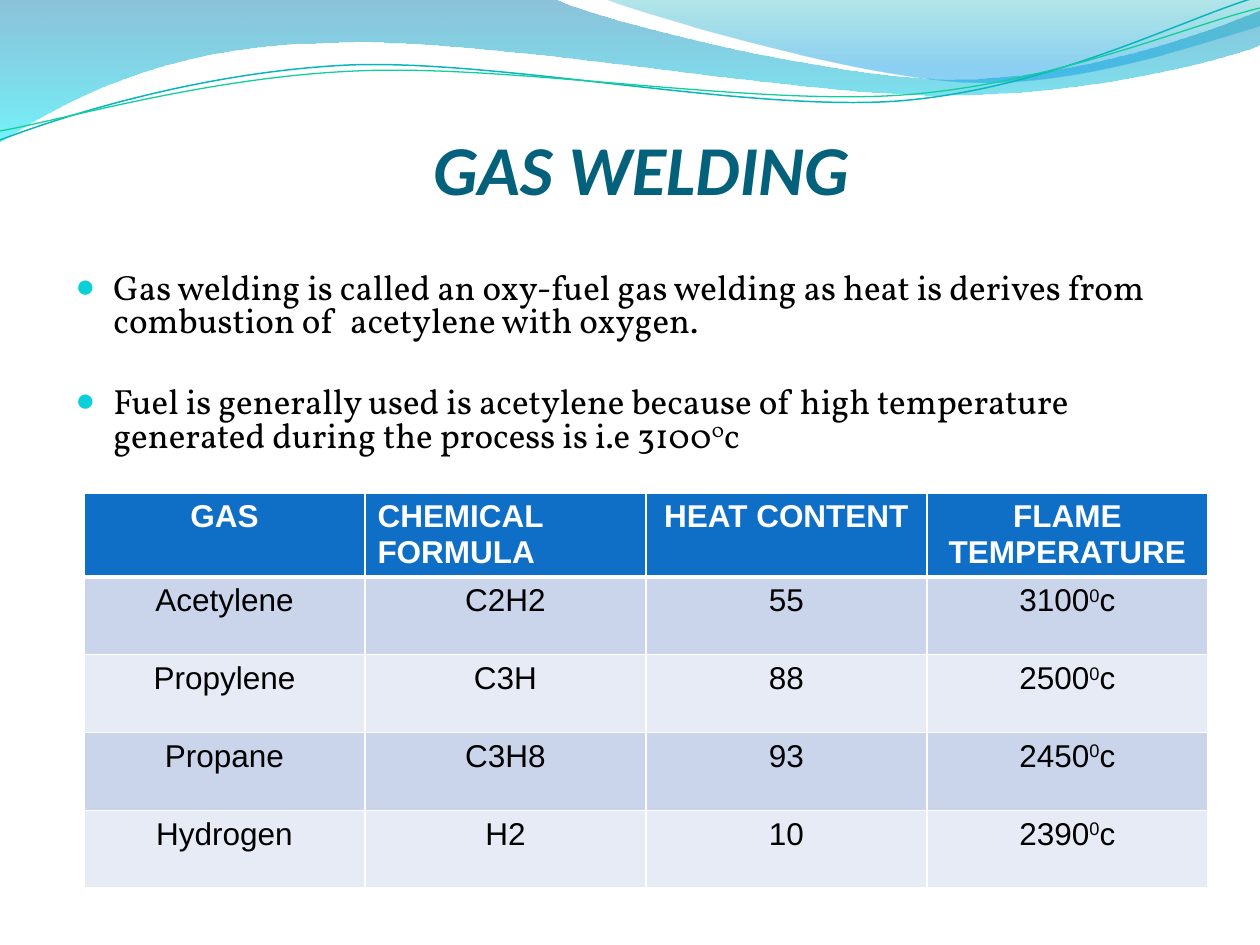
import dataclasses
import typing

import lxml.etree
import pptx
import pptx.dml.color
import pptx.enum.text
import pptx.oxml
import pptx.oxml.ns
import pptx.util

EMU_PER_PX = 914400 / 126
COLORS = {
    "title": "04617B", "text": "000000", "white": "FFFFFF", "bullet": "0BD0D9",
    "header": "0F6FC6", "odd": "CAD4EA", "even": "E6EBF5",
    "ribbon_top": "0079AD", "ribbon_bottom": "00E9F7",
    "crest_top": "00ABB4", "crest_bottom": "0099E4",
    "teal": "09B6BE", "green": "10CF9B",
}
CENTER = pptx.enum.text.PP_ALIGN.CENTER
LEFT = pptx.enum.text.PP_ALIGN.LEFT
Point = tuple[int, int]


class Stop(typing.NamedTuple):
    position: int
    color: str
    opacity: int


class Run(typing.NamedTuple):
    text: str
    baseline: int = 0


@dataclasses.dataclass(frozen=True)
class Wave:
    start: Point
    segments: list[tuple[Point, ...]]
    stops: tuple[Stop, ...] = ()
    line_color: str = ""
    line_width: float = 0


@dataclasses.dataclass(frozen=True)
class TextStyle:
    font: str
    size: int
    color: str
    bold: bool = False
    italic: bool = False


WAVES = [
    Wave((0, 0), [
        ((554, -1),), ((600, 21), (837, 79), (955, 79)),
        ((1075, 79), (1207, 33), (1260, 11)), ((1261, 45),),
        ((1239, 55), (1096, 96), (940, 95)), ((784, 95), (481, 35), (324, 43)),
        ((162, 45), (58, 105), (-1, 142)),
    ], (Stop(0, "ribbon_top", 45), Stop(100, "ribbon_bottom", 55))),
    Wave((604, -1), [
        ((641, 14), (859, 78), (969, 82)), ((1079, 87), (1211, 40), (1260, 26)),
        ((1260, 0),),
    ], (Stop(0, "crest_top", 30), Stop(80, "crest_bottom", 45), Stop(100, "crest_bottom", 45))),
    Wave((0, 140), [
        ((60, 117), (199, 72), (349, 65)), ((498, 59), (747, 112), (898, 101)),
        ((1050, 89), (1182, 19), (1257, -3)),
    ], line_color="teal", line_width=0.85),
    Wave((0, 131), [
        ((59, 121), (207, 77), (357, 71)), ((508, 64), (752, 106), (903, 95)),
        ((1053, 84), (1186, 26), (1260, 8)),
    ], line_color="green", line_width=0.75),
]
TITLE_STYLE = TextStyle("Calibri", 40, "title", True, True)
BODY_STYLE = TextStyle("Vollkorn", 20, "text")
HEADER_STYLE = TextStyle("Arial", 18, "white", True)
CELL_STYLE = TextStyle("Arial", 18, "text")


def px(length: float) -> int:
    return round(length * EMU_PER_PX)


def rgb(name: str) -> pptx.dml.color.RGBColor:
    return pptx.dml.color.RGBColor.from_string(COLORS[name])


def set_values(target, values: dict) -> None:
    for name, value in values.items():
        setattr(target, name, value)


def add_element(parent, tag: str, **attributes: str):
    return lxml.etree.SubElement(parent, pptx.oxml.ns.qn(tag), **attributes)


def temperature(value: str) -> list[Run]:
    return [Run(value), Run("0", 30000), Run("c")]


def write_runs(paragraph, runs: list[Run], style: TextStyle) -> None:
    for item in runs:
        run = paragraph.add_run()
        run.text = item.text
        set_values(run.font, {
            "name": style.font, "size": pptx.util.Pt(style.size),
            "bold": style.bold, "italic": style.italic,
        })
        run.font.color.rgb = rgb(style.color)
        if item.baseline:
            run.font._element.set("baseline", str(item.baseline))


def gradient(stops: tuple[Stop, ...]):
    marks = "".join(
        f'<a:gs pos="{stop.position * 1000}"><a:srgbClr val="{COLORS[stop.color]}">'
        f'<a:alpha val="{stop.opacity * 1000}"/></a:srgbClr></a:gs>'
        for stop in stops
    )
    return pptx.oxml.parse_xml(
        f'<a:gradFill {pptx.oxml.ns.nsdecls("a")} rotWithShape="1">'
        f'<a:gsLst>{marks}</a:gsLst><a:lin ang="5400000" scaled="0"/></a:gradFill>'
    )


def bend_segments(shape, wave: Wave) -> None:
    straight = list(shape._element.iter(pptx.oxml.ns.qn("a:lnTo")))
    for element, segment in zip(straight, wave.segments):
        if len(segment) == 1:
            continue
        curve = lxml.etree.Element(pptx.oxml.ns.qn("a:cubicBezTo"))
        for x, y in segment:
            add_element(curve, "a:pt", x=str(px(x) - shape.left), y=str(px(y) - shape.top))
        element.getparent().replace(element, curve)


def draw_wave(slide, wave: Wave) -> None:
    builder = slide.shapes.build_freeform(px(wave.start[0]), px(wave.start[1]), scale=1.0)
    anchors = [(px(segment[-1][0]), px(segment[-1][1])) for segment in wave.segments]
    builder.add_line_segments(anchors, close=bool(wave.stops))
    shape = builder.convert_to_shape()
    bend_segments(shape, wave)
    shape.shadow.inherit = False
    shape.fill.background()
    if wave.stops:
        shape.line.fill.background()
        properties = shape._element.spPr
        blank = properties.find(pptx.oxml.ns.qn("a:noFill"))
        properties.replace(blank, gradient(wave.stops))
    else:
        shape.line.color.rgb = rgb(wave.line_color)
        shape.line.width = pptx.util.Pt(wave.line_width)


def draw_title(slide, text: str) -> None:
    title = slide.shapes.title
    set_values(title, {"left": px(74), "top": px(52), "width": px(1134), "height": px(158)})
    set_values(title.text_frame, {
        "margin_left": 0, "margin_right": 0, "margin_top": px(6), "margin_bottom": 0,
        "vertical_anchor": pptx.enum.text.MSO_ANCHOR.BOTTOM, "word_wrap": True,
    })
    paragraph = title.text_frame.paragraphs[0]
    paragraph.alignment = CENTER
    write_runs(paragraph, [Run(text)], TITLE_STYLE)


def draw_bullets(slide, items: list[list[Run]]) -> None:
    shape = slide.shapes.add_textbox(px(63), px(267), px(1134), px(605))
    frame = shape.text_frame
    frame.word_wrap = True
    for index, runs in enumerate(items):
        paragraph = frame.add_paragraph() if index else frame.paragraphs[0]
        properties = paragraph._p.get_or_add_pPr()
        properties.set("marL", str(px(38)))
        properties.set("indent", str(px(-38)))
        color = add_element(properties, "a:buClr")
        add_element(color, "a:srgbClr", val=COLORS["bullet"])
        add_element(properties, "a:buSzPct", val="95000")
        add_element(properties, "a:buFont", typeface="Arial")
        add_element(properties, "a:buChar", char="●")
        set_values(paragraph, {
            "line_spacing": 0.8, "space_before": pptx.util.Pt(27 if index else 0),
        })
        write_runs(paragraph, runs, BODY_STYLE)


def set_borders(cell, widths: dict[str, int]) -> None:
    properties = cell._tc.get_or_add_tcPr()
    for index, (side, width) in enumerate(widths.items()):
        properties.insert(index, pptx.oxml.parse_xml(
            f'<a:{side} {pptx.oxml.ns.nsdecls("a")} w="{pptx.util.Pt(width)}"><a:solidFill>'
            f'<a:srgbClr val="{COLORS["white"]}"/></a:solidFill></a:{side}>'
        ))


def draw_table(slide, rows: list[list[list[Run]]]) -> None:
    frame = slide.shapes.add_table(len(rows), len(rows[0]), px(84), px(493), px(1124), px(389))
    table = frame.table
    for column in table.columns:
        column.width = px(281)
    for row_index, row in enumerate(rows):
        table.rows[row_index].height = px(389 / len(rows))
        fill = "header" if row_index == 0 else "odd" if row_index % 2 else "even"
        for column_index, runs in enumerate(row):
            cell = table.cell(row_index, column_index)
            cell.margin_bottom = px(6 if row_index else 2)
            cell.fill.solid()
            cell.fill.fore_color.rgb = rgb(fill)
            set_borders(cell, {
                "lnL": 1, "lnR": 1, "lnT": 3 if row_index == 1 else 1,
                "lnB": 3 if row_index == 0 else 1,
            })
            paragraph = cell.text_frame.paragraphs[0]
            paragraph.alignment = LEFT if (row_index, column_index) == (0, 1) else CENTER
            write_runs(paragraph, runs, CELL_STYLE if row_index else HEADER_STYLE)


def main() -> None:
    presentation = pptx.Presentation()
    set_values(presentation, {"slide_width": px(1260), "slide_height": px(945)})
    slide = presentation.slides.add_slide(presentation.slide_layouts[5])
    for wave in WAVES:
        draw_wave(slide, wave)
    draw_title(slide, "GAS WELDING")
    draw_bullets(slide, [
        [Run("Gas welding is called an oxy-fuel gas welding as heat is derives from "
             "combustion of  acetylene with oxygen.")],
        [Run("Fuel is generally used is acetylene because of high temperature "
             "generated during the process is i.e "), *temperature("3100")],
    ])
    headings = ["GAS", "CHEMICAL FORMULA", "HEAT CONTENT", "FLAME TEMPERATURE"]
    gases = [
        ("Acetylene", "C2H2", "55", "3100"), ("Propylene", "C3H", "88", "2500"),
        ("Propane", "C3H8", "93", "2450"), ("Hydrogen", "H2", "10", "2390"),
    ]
    draw_table(slide, [[[Run(heading)] for heading in headings]] + [
        [[Run(text)] for text in gas[:3]] + [temperature(gas[3])] for gas in gases
    ])
    presentation.save("out.pptx")


if __name__ == "__main__":
    main()
